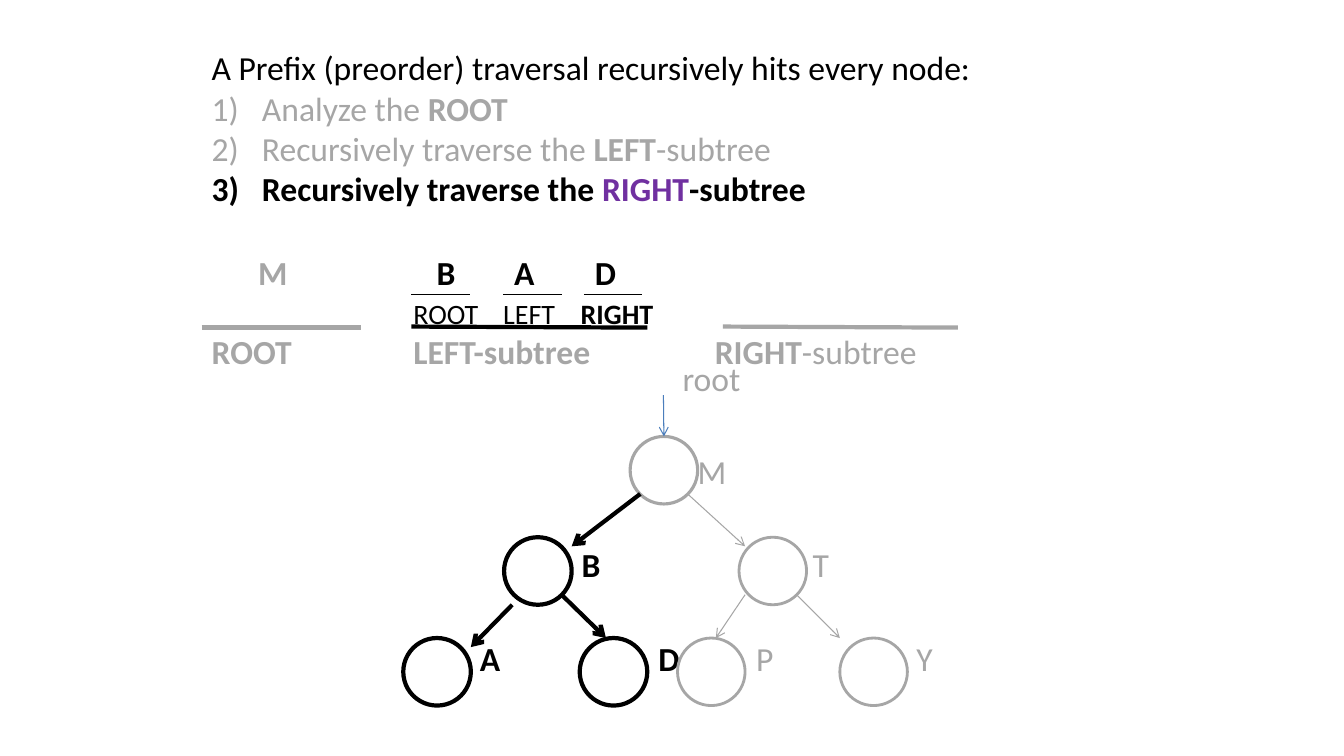
from typing import NamedTuple

from lxml import etree
from pptx import Presentation
from pptx.dml.color import RGBColor
from pptx.enum import shapes as kinds, text as txt
from pptx.oxml import ns
from pptx.util import Inches, Pt

HUES = {"black": "000000", "gray": "A6A6A6", "violet": "7030A0", "blue": "4B7EBC"}
FACE = "Calibri"
SIDE = 0.67


class Run(NamedTuple):
    text: str
    hue: str = "gray"
    bold: bool = False


class Label(NamedTuple):
    x: float
    y: float
    runs: list[Run]
    size: int = 24


class Node(NamedTuple):
    x: float
    y: float
    hue: str
    width: float


class Line(NamedTuple):
    start: tuple[float, float]
    end: tuple[float, float]
    hue: str
    width: float
    arrow: bool = False


STEPS = [
    [Run("Analyze the "), Run("ROOT", bold=True)],
    [Run("Recursively traverse the "), Run("LEFT", bold=True), Run("-subtree")],
    [Run("Recursively traverse the ", "black", True), Run("RIGHT", "violet", True),
     Run("-subtree", "black", True)],
]

LABELS = [
    # visited values
    Label(2.56, 2.5, [Run("M", bold=True)]),
    *[Label(x, 2.5, [Run(name, "black", True)])
      for x, name in [(4.33, "B"), (5.1, "A"), (5.9, "D")]],
    # parts of the left subtree
    Label(4.1, 2.94, [Run("ROOT", "black")], 20),
    Label(4.99, 2.94, [Run("LEFT", "black")], 20),
    Label(5.76, 2.94, [Run("RIGHT", "black", True)], 20),
    # parts of the whole tree
    Label(2.1, 3.28, [Run("ROOT", bold=True)]),
    Label(4.1, 3.28, [Run("LEFT-subtree", bold=True)]),
    Label(7.09, 3.28, [Run("RIGHT", bold=True), Run("-subtree")]),
    # names beside the nodes
    Label(6.77, 3.55, [Run("root")]),
    Label(6.92, 4.47, [Run("M")]),
    Label(5.77, 5.4, [Run("B", "black", True)]),
    Label(8.06, 5.4, [Run("T")]),
    Label(4.76, 6.33, [Run("A", "black", True)]),
    Label(6.53, 6.33, [Run("D", "black", True)]),
    Label(7.5, 6.33, [Run("P")]),
    Label(9.09, 6.33, [Run("Y")]),
]

TOP = Node(6.25, 4.33, "gray", 2.25)
NODES = [
    Node(5, 5.33, "black", 3),
    Node(7.33, 5.33, "gray", 2),
    Node(4, 6.33, "black", 3),
    Node(5.75, 6.33, "black", 3),
    Node(6.72, 6.33, "gray", 2),
    Node(8.33, 6.33, "gray", 2),
]

ENTRY = Line((6.58, 3.92), (6.58, 4.33), "blue", 0.75, True)
LINES = [
    Line((6.35, 4.9), (5.67, 5.42), "black", 3, True),
    Line((5.08, 6), (4.67, 6.42), "black", 3, True),
    Line((5.57, 5.9), (6.01, 6.33), "black", 3, True),
    Line((6.82, 4.9), (7.39, 5.42), "gray", 0.75, True),
    Line((7.39, 5.9), (7.1, 6.33), "gray", 0.75, True),
    Line((7.9, 5.9), (8.33, 6.33), "gray", 0.75, True),
    Line((2, 3.25), (3.58, 3.25), "gray", 3),
    Line((4.08, 3.24), (6.42, 3.25), "black", 3),
    Line((7.17, 3.24), (9.5, 3.25), "gray", 3),
    *[Line((x, 2.92), (x + 0.58, 2.92), "black", 0.75) for x in (4.08, 4.99, 5.79)],
]


def color(hue: str) -> RGBColor:
    return RGBColor.from_string(HUES[hue])


def fill(para, runs: list[Run], size: int = 24) -> None:
    """Write runs, setting on the paragraph whatever they share."""
    para.font.name = FACE
    para.font.size = Pt(size)
    hues = {run.hue for run in runs}
    bolds = {run.bold for run in runs}
    if len(hues) == 1:
        para.font.color.rgb = color(runs[0].hue)
    if len(bolds) == 1:
        para.font.bold = runs[0].bold
    for run in runs:
        part = para.add_run()
        part.text = run.text
        if len(hues) > 1:
            part.font.color.rgb = color(run.hue)
        if len(bolds) > 1:
            part.font.bold = run.bold


def number(para) -> None:
    props = para._p.get_or_add_pPr()
    props.set("marL", str(Inches(0.5)))
    props.set("indent", str(-Inches(0.5)))
    etree.SubElement(props, ns.qn("a:buFont"), typeface="+mj-lt")
    etree.SubElement(props, ns.qn("a:buAutoNum"), type="arabicParenR")


def add_steps(slide) -> None:
    box = slide.shapes.add_textbox(Inches(2), Inches(0.42), Inches(9.5), Inches(1.75))
    frame = box.text_frame
    frame.word_wrap = True
    fill(frame.paragraphs[0],
         [Run("A Prefix (preorder) traversal recursively hits every node:", "black")])
    for step in STEPS:
        para = frame.add_paragraph()
        number(para)
        fill(para, step)


def add_label(slide, label: Label) -> None:
    box = slide.shapes.add_textbox(
        Inches(label.x), Inches(label.y), Inches(2.2), Inches(0.41))
    frame = box.text_frame
    frame.margin_left = frame.margin_right = frame.margin_top = frame.margin_bottom = 0
    frame.vertical_anchor = txt.MSO_ANCHOR.TOP
    frame.word_wrap = False
    para = frame.paragraphs[0]
    para.alignment = txt.PP_ALIGN.LEFT
    fill(para, label.runs, label.size)


def add_node(slide, node: Node):
    ring = slide.shapes.add_shape(
        kinds.MSO_SHAPE.OVAL, Inches(node.x), Inches(node.y), Inches(SIDE), Inches(SIDE))
    ring.shadow.inherit = False
    ring.fill.background()
    ring.line.color.rgb = color(node.hue)
    ring.line.width = Pt(node.width)
    return ring


def add_line(slide, line: Line):
    link = slide.shapes.add_connector(
        kinds.MSO_CONNECTOR.STRAIGHT, *map(Inches, line.start + line.end))
    link.line.color.rgb = color(line.hue)
    link.line.width = Pt(line.width)
    if line.arrow:
        etree.SubElement(link.line._get_or_add_ln(), ns.qn("a:tailEnd"), type="arrow")
    etree.SubElement(link._element.spPr, ns.qn("a:effectLst"))
    return link


def main() -> None:
    deck = Presentation()
    deck.slide_width, deck.slide_height = Inches(13.33), Inches(7.5)
    slide = deck.slides.add_slide(deck.slide_layouts[6])
    add_steps(slide)
    for label in LABELS:
        add_label(slide, label)
    top = add_node(slide, TOP)
    for node in NODES:
        add_node(slide, node)
    add_line(slide, ENTRY).end_connect(top, 0)
    for line in LINES:
        add_line(slide, line)
    deck.save("out.pptx")


if __name__ == "__main__":
    main()
